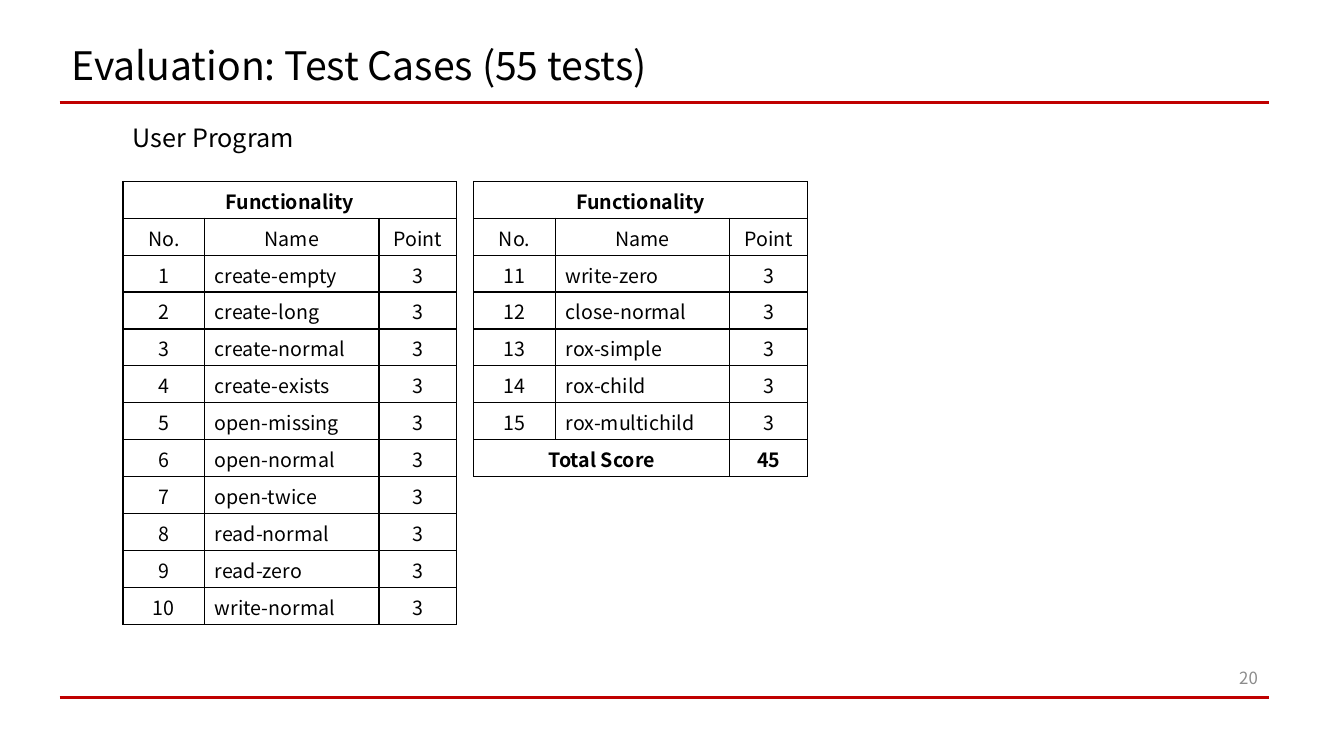
from lxml.etree import SubElement
from pptx import Presentation
from pptx.dml.color import RGBColor
from pptx.enum.shapes import MSO_CONNECTOR as Connector
from pptx.enum.text import MSO_ANCHOR as Anchor, PP_ALIGN as Align
from pptx.oxml import parse_xml
from pptx.oxml.ns import nsdecls, qn
from pptx.util import Cm, Pt


def color(value):
    return RGBColor.from_string(value)


class SlideBuilder:
    """Holds the style and the current slide, and adds its elements."""

    font = "Noto Sans CJK KR"
    ink = "000000"
    accent = "C00000"
    muted = "8C8C8C"
    column_widths = (2.06, 4.39, 1.96)
    row_height = 0.93

    def __init__(self, slide):
        self.slide = slide

    def add_run(self, paragraph, text, size, ink=None, bold=False):
        run = paragraph.add_run()
        run.text = text
        run.font.name = self.font
        run.font.size = Pt(size)
        run.font.bold = bold
        run.font.color.rgb = color(ink or self.ink)

    def text(self, text, box, size, ink=None, align=Align.LEFT, anchor=Anchor.TOP, spacing=1.0):
        shape = self.slide.shapes.add_textbox(*map(Cm, box))
        frame = shape.text_frame
        frame.word_wrap = True
        frame.vertical_anchor = anchor
        paragraph = frame.paragraphs[0]
        paragraph.alignment = align
        paragraph.line_spacing = spacing
        self.add_run(paragraph, text, size, ink)

    def rule(self, left, right, top):
        line = self.slide.shapes.add_connector(
            Connector.STRAIGHT, Cm(left), Cm(top), Cm(right), Cm(top))
        line.line.color.rgb = color(self.accent)
        line.line.width = Pt(2.25)
        SubElement(line._element.spPr, qn("a:effectLst"))

    def border(self, cell):
        properties = cell._tc.get_or_add_tcPr()
        for position, side in enumerate(("lnL", "lnR", "lnT", "lnB")):
            properties.insert(position, parse_xml(
                f'<a:{side} {nsdecls("a")} w="{Pt(1)}"><a:solidFill>'
                f'<a:srgbClr val="{self.ink}"/></a:solidFill></a:{side}>'))

    def table(self, rows, left, top, bottom_margin):
        width = sum(self.column_widths)
        height = self.row_height * len(rows)
        table = self.slide.shapes.add_table(
            len(rows), len(self.column_widths), Cm(left), Cm(top), Cm(width), Cm(height)).table
        table.first_row = table.horz_banding = False
        for column, column_width in zip(table.columns, self.column_widths):
            column.width = Cm(column_width)
        for row_index, values in enumerate(rows):
            table.rows[row_index].height = Cm(self.row_height)
            bold = None in values
            span = values.count(None)
            if span:
                table.cell(row_index, 0).merge(table.cell(row_index, span))
            for column_index, value in enumerate(values):
                cell = table.cell(row_index, column_index)
                cell.margin_bottom = Cm(bottom_margin)
                cell.fill.background()
                self.border(cell)
                if value is None:
                    continue
                paragraph = cell.text_frame.paragraphs[0]
                is_name = column_index == 1 and row_index > 1
                paragraph.alignment = Align.LEFT if is_name else Align.CENTER
                self.add_run(paragraph, value, 14, bold=bold)


def main():
    presentation = Presentation()
    presentation.slide_width, presentation.slide_height = Cm(33.87), Cm(19.05)
    builder = SlideBuilder(presentation.slides.add_slide(presentation.slide_layouts[6]))

    for top in (17.58, 2.59):
        builder.rule(1.5, 31.98, top)
    builder.text("Evaluation: Test Cases (55 tests)", (1.55, 1.04, 29.21, 1.35), 28,
                 anchor=Anchor.MIDDLE, spacing=0.9)
    builder.text("20", (30.63, 16.56, 1.32, 1.02), 12, builder.muted, Align.RIGHT, Anchor.MIDDLE)
    builder.text("User Program", (3.1, 2.97, 5.82, 1.02), 18)

    names = ("create-empty", "create-long", "create-normal", "create-exists", "open-missing",
             "open-normal", "open-twice", "read-normal", "read-zero", "write-normal",
             "write-zero", "close-normal", "rox-simple", "rox-child", "rox-multichild")
    points = 3
    tests = [(str(number), name, str(points)) for number, name in enumerate(names, 1)]
    heading = [("Functionality", None, None), ("No.", "Name", "Point")]
    total = ("Total Score", None, str(points * len(tests)))
    builder.table(heading + tests[:10], 3.1, 4.57, 0.13)
    builder.table(heading + tests[10:] + [total], 11.94, 4.57, 0.07)

    presentation.save("out.pptx")


if __name__ == "__main__":
    main()
